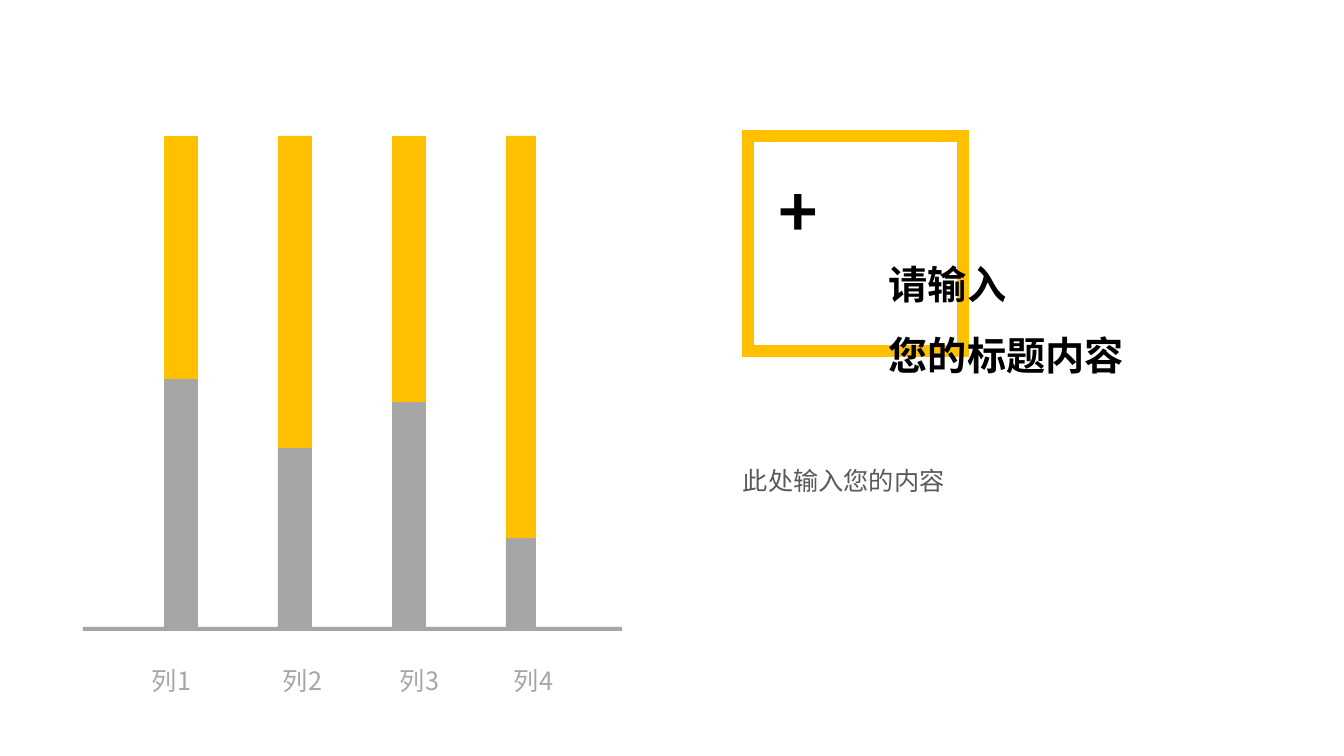
from lxml.etree import SubElement
from pptx import Presentation
from pptx.dml.color import RGBColor
from pptx.enum.shapes import MSO_SHAPE
from pptx.enum.text import MSO_AUTO_SIZE
from pptx.oxml.ns import qn
from pptx.util import Pt

PX = 914400 / 100.8
FONT = "Noto Sans CJK SC"
AMBER = RGBColor(0xFF, 0xC0, 0x00)
GREY = RGBColor(0xA6, 0xA6, 0xA6)
DARK_GREY = RGBColor(0x59, 0x59, 0x59)
BLACK = RGBColor(0x00, 0x00, 0x00)

COLUMN_LEFT, COLUMN_STEP = 164, 114
COLUMN_TOP, BASELINE = 136, 627
# width, height at which amber meets grey, left of the label
COLUMNS = [(34, 379, 142), (34, 448, 273), (34, 402, 390), (30, 538, 504)]


def emu(*lengths):
    return [round(length * PX) for length in lengths]


class Slide:
    """Draws elements on one slide, with lengths in px."""

    def __init__(self, prs):
        self.shapes = prs.slides.add_slide(prs.slide_layouts[6]).shapes

    def rect(self, x, y, w, h):
        sp = self.shapes.add_shape(MSO_SHAPE.RECTANGLE, *emu(x, y, w, h))
        sp.shadow.inherit = False
        return sp

    def bar(self, x, y, w, h, color):
        sp = self.rect(x, y, w, h)
        sp.fill.solid()
        sp.fill.fore_color.rgb = color
        sp.line.fill.background()

    def frame(self, x, y, w, h, color, weight):
        """Unfilled rectangle with sharp outer corners."""
        sp = self.rect(x, y, w, h)
        sp.fill.background()
        sp.line.color.rgb = color
        sp.line.width = Pt(weight)
        SubElement(sp.line._get_or_add_ln(), qn("a:miter"), lim="800000")

    def text(self, x, y, w, h, lines, color, size=18, bold=False):
        tf = self.shapes.add_textbox(*emu(x, y, w, h)).text_frame
        tf.word_wrap = True
        tf.auto_size = MSO_AUTO_SIZE.SHAPE_TO_FIT_TEXT
        for i, line in enumerate(lines):
            p = tf.add_paragraph() if i else tf.paragraphs[0]
            p.line_spacing = 1.5
            r = p.add_run()
            r.text = line
            r.font.color.rgb = color
            for key, value in {"name": FONT, "size": Pt(size), "bold": bold}.items():
                setattr(r.font, key, value)
            SubElement(r._r.get_or_add_rPr(), qn("a:ea"), typeface=FONT)


def main():
    prs = Presentation()
    prs.slide_width, prs.slide_height = emu(1344, 756)
    s = Slide(prs)

    for i, (width, split, label_left) in enumerate(COLUMNS):
        x = COLUMN_LEFT + i * COLUMN_STEP
        s.bar(x, split, width, BASELINE - split, GREY)
        s.bar(x, COLUMN_TOP, width, split - COLUMN_TOP, AMBER)
        s.text(label_left, 645, 79, 50, [f"列{i + 1}"], GREY)
    s.bar(83, BASELINE, 539, 4, GREY)

    s.text(733, 445, 567, 55, ["此处输入您的内容"], DARK_GREY)
    s.frame(748, 136, 215, 215, AMBER, 8)
    s.text(879, 232, 372, 144, ["请输入", "您的标题内容"], BLACK, 28, True)
    s.text(769, 125, 64, 132, ["+"], BLACK, 48, True)
    prs.save("out.pptx")


if __name__ == "__main__":
    main()
